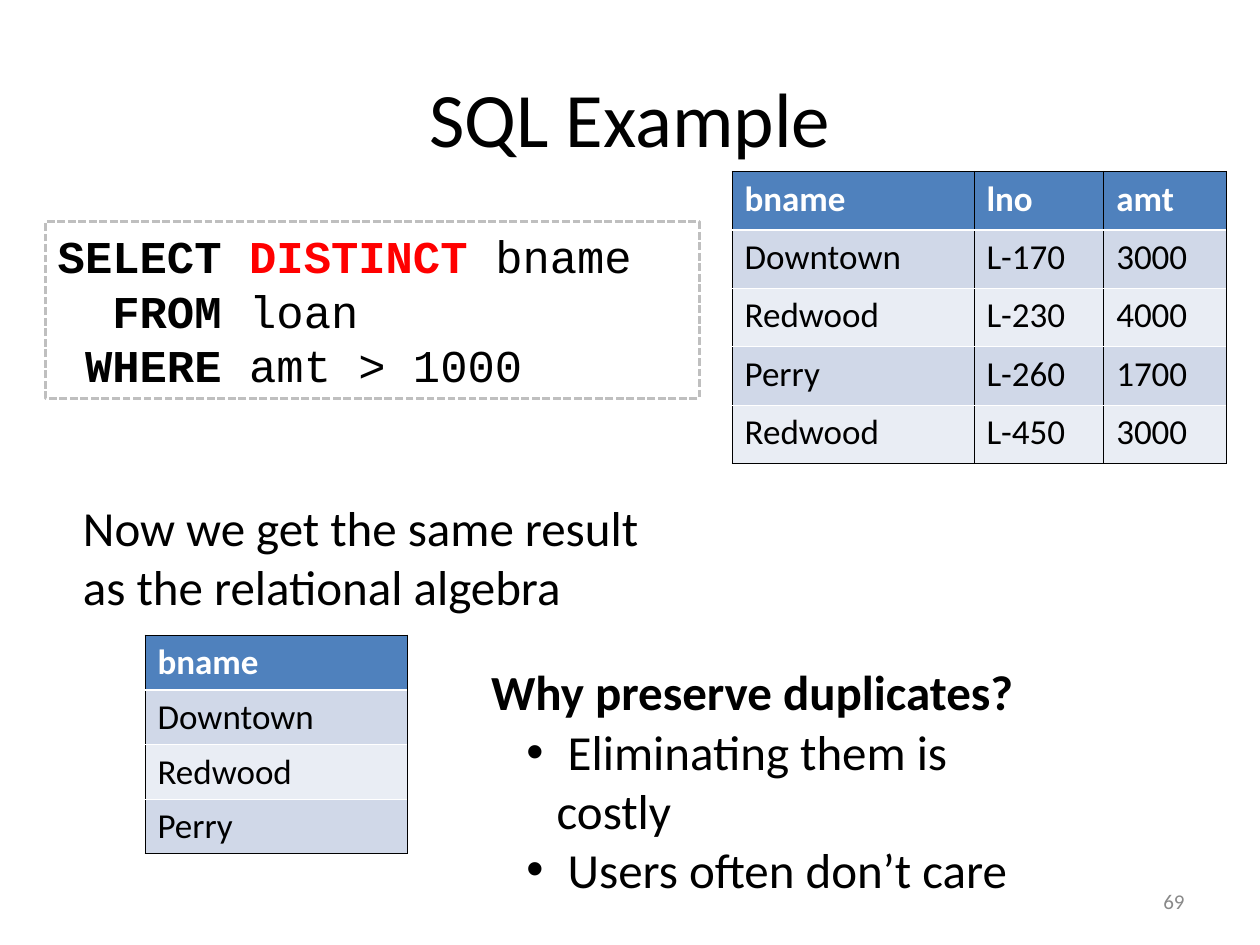
from lxml.etree import SubElement
from pptx import Presentation
from pptx.dml.color import RGBColor
from pptx.enum.dml import MSO_LINE_DASH_STYLE as DASH
from pptx.enum.shapes import MSO_SHAPE as SHAPE
from pptx.enum.text import MSO_ANCHOR as ANCHOR, PP_ALIGN as ALIGN
from pptx.oxml.ns import qn
from pptx.util import Inches, Pt

WIDTH, HEIGHT = Inches(10), Inches(7.5)
BLACK, WHITE, RED = "000000", "FFFFFF", "FF0000"
HEADER, BANDS = "4F81BD", ("D0D8E8", "E9EDF4")


def color(value):
    return RGBColor.from_string(value)


def across(percent):
    return round(WIDTH * percent / 100)


def down(percent):
    return round(HEIGHT * percent / 100)


def area(x, y, w, h):
    return across(x), down(y), across(w), down(h)


def add_run(p, text, size, font="Calibri", ink=BLACK, bold=False):
    r = p.add_run()
    r.text = text
    r.font.size = Pt(size)
    r.font.name = font
    r.font.bold = bold
    r.font.color.rgb = color(ink)


def add_text(s, box, lines, size, align=ALIGN.LEFT, anchor=ANCHOR.TOP, **style):
    tf = s.shapes.add_textbox(*area(*box)).text_frame
    tf.word_wrap = True
    tf.vertical_anchor = anchor
    p = tf.paragraphs[0]
    p.alignment = align
    for i, line in enumerate(lines):
        if i:
            p.add_line_break()
        add_run(p, line, size, **style)


def add_code(s, box, lines):
    sp = s.shapes.add_shape(SHAPE.RECTANGLE, *area(*box))
    sp.shadow.inherit = False
    sp.fill.background()
    sp.line.color.rgb = color("BFBFBF")
    sp.line.width = Pt(1.5)
    sp.line.dash_style = DASH.SQUARE_DOT
    tf = sp.text_frame
    tf.word_wrap = True
    tf.vertical_anchor = ANCHOR.TOP
    for i, line in enumerate(lines):
        p = tf.add_paragraph() if i else tf.paragraphs[0]
        p.alignment = ALIGN.LEFT
        for text, ink, bold in line:
            add_run(p, text, 26, "Courier New", ink, bold)


def add_bullets(s, box, items):
    tf = s.shapes.add_textbox(*area(*box)).text_frame
    tf.word_wrap = True
    for i, item in enumerate(items):
        p = tf.add_paragraph() if i else tf.paragraphs[0]
        add_run(p, item, 28)
        pPr = p._p.get_or_add_pPr()
        pPr.set("marL", str(across(2.4)))
        pPr.set("indent", str(-across(2.4)))
        SubElement(SubElement(pPr, qn("a:buClr")), qn("a:srgbClr"), val=BLACK)
        SubElement(pPr, qn("a:buFont"), typeface="Arial")
        SubElement(pPr, qn("a:buChar"), char="•")


def set_border(cell, side, ink, width):
    ln = SubElement(cell._tc.get_or_add_tcPr(), qn(f"a:ln{side}"), w=str(Pt(width)))
    SubElement(SubElement(ln, qn("a:solidFill")), qn("a:srgbClr"), val=ink)


def rule_below(row, last):
    if row in (-1, last):
        return BLACK, 0.45
    return WHITE, 0.45 if row else 1.47


def add_table(s, x, y, col_widths, row_height, rows):
    last = len(rows) - 1
    box = area(x, y, sum(col_widths), row_height * len(rows))
    table = s.shapes.add_table(len(rows), len(col_widths), *box).table
    for col, width in zip(table.columns, col_widths):
        col.width = across(width)
    for i, values in enumerate(rows):
        table.rows[i].height = down(row_height)
        for j, value in enumerate(values):
            cell = table.cell(i, j)
            set_border(cell, "L", BLACK, 0.45)
            set_border(cell, "R", BLACK, 0.45)
            set_border(cell, "T", *rule_below(i - 1, last))
            set_border(cell, "B", *rule_below(i, last))
            cell.fill.solid()
            cell.fill.fore_color.rgb = color(BANDS[(i - 1) % 2] if i else HEADER)
            add_run(cell.text_frame.paragraphs[0], value, 20,
                    ink=BLACK if i else WHITE, bold=i == 0)


def main():
    prs = Presentation()
    prs.slide_width, prs.slide_height = WIDTH, HEIGHT
    s = prs.slides.add_slide(prs.slide_layouts[6])

    add_text(s, (5, 4, 90, 16.67), ["SQL Example"], 44, ALIGN.CENTER, ANCHOR.MIDDLE)
    add_code(s, (3.6, 23.47, 51.9, 18.67), [
        [("SELECT ", BLACK, True), ("DISTINCT ", RED, True), ("bname", BLACK, False)],
        [("  FROM ", BLACK, True), ("loan", BLACK, False)],
        [(" WHERE ", BLACK, True), ("amt > 1000", BLACK, False)],
    ])
    add_text(s, (5.6, 52, 47.1, 13.87),
             ["Now we get the same result ", "as the relational algebra"], 28)
    add_table(s, 11.5, 67.2, [20.8], 5.79,
              [["bname"], ["Downtown"], ["Redwood"], ["Perry"]])
    add_table(s, 58.1, 18.13, [19.2, 10.3, 9.7], 6.19, [
        ["bname", "lno", "amt"],
        ["Downtown", "L-170", "3000"],
        ["Redwood", "L-230", "4000"],
        ["Perry", "L-260", "1700"],
        ["Redwood", "L-450", "3000"],
    ])
    add_text(s, (38, 69.33, 50.3, 7.6), ["Why preserve duplicates?"], 28, bold=True)
    add_bullets(s, (40.8, 75.73, 43, 13.87),
                [" Eliminating them is costly", " Users often don’t care"])
    add_text(s, (71.7, 92.67, 23.3, 5.33), ["69"], 12, ALIGN.RIGHT, ANCHOR.MIDDLE,
             ink="898989")
    prs.save("out.pptx")


if __name__ == "__main__":
    main()
